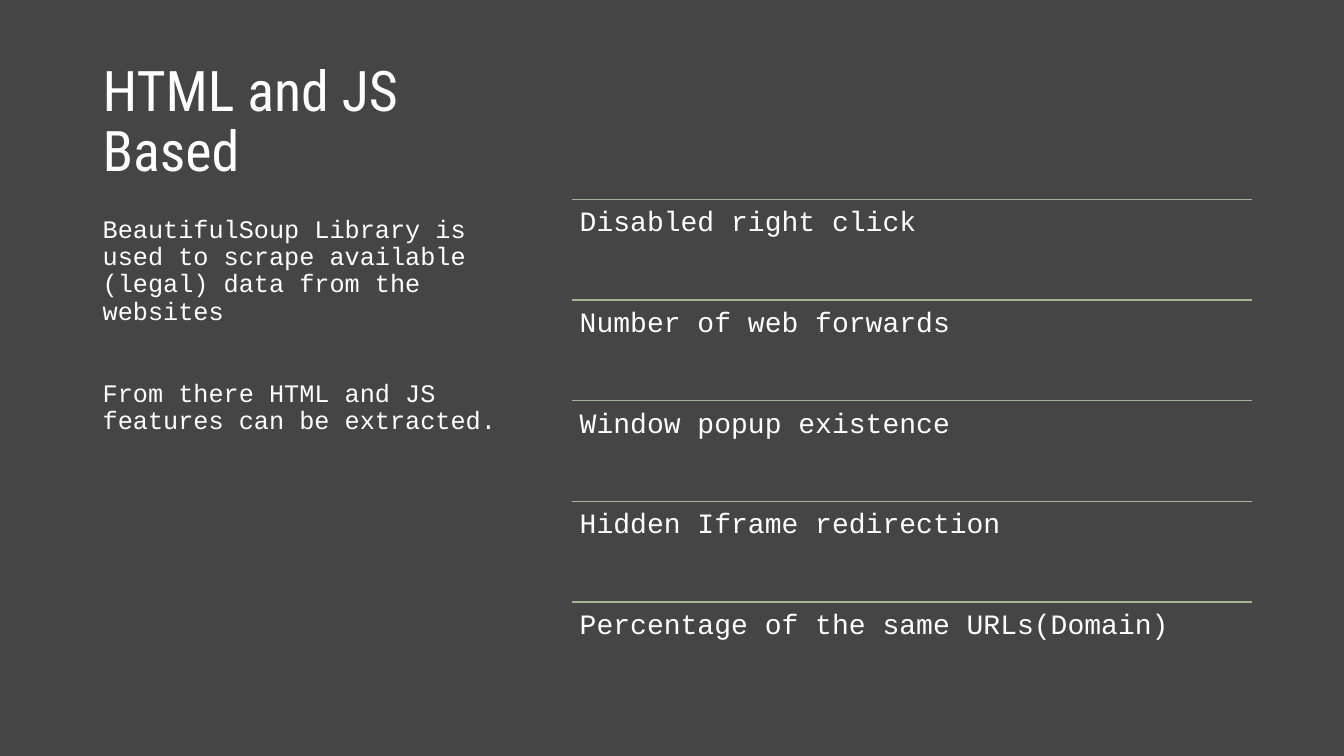
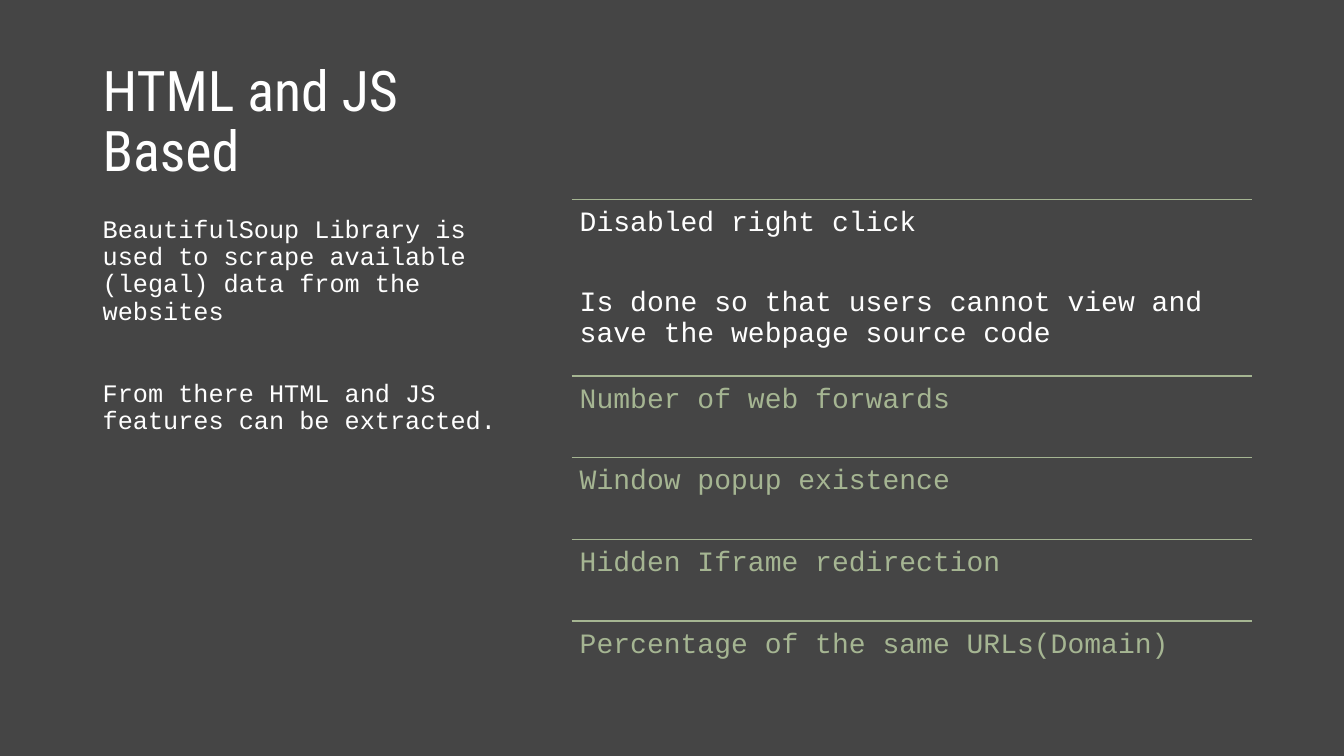
from dataclasses import dataclass

from lxml import etree
from pptx import Presentation
from pptx import util as u
from pptx.dml.color import RGBColor
from pptx.enum import shapes, text
from pptx.oxml import ns
from pptx.slide import Slide


@dataclass(frozen=True)
class Theme:
    background: RGBColor = RGBColor(0x45, 0x45, 0x45)
    white: RGBColor = RGBColor(0xFF, 0xFF, 0xFF)
    sage: RGBColor = RGBColor(0xA5, 0xB5, 0x92)
    title_font: str = "Roboto Condensed"
    body_font: str = "Courier New"
    title_size: int = 40
    body_size: int = 18
    feature_size: int = 20
    line_spacing: float = 0.9
    rule_width: float = 1


@dataclass(frozen=True)
class TextStyle:
    font: str
    size: int
    color: RGBColor
    gap: float = 0  # points between paragraphs
    inset_x: float = 0.1
    inset_y: float = 0.05
    anchor: text.MSO_ANCHOR = text.MSO_ANCHOR.TOP


@dataclass(frozen=True)
class Area:
    left: float
    top: float
    width: float
    height: float


@dataclass(frozen=True)
class Feature:
    paragraphs: tuple[str, ...]
    color: RGBColor


THEME = Theme()
TITLE_STYLE = TextStyle(THEME.title_font, THEME.title_size, THEME.white,
                        anchor=text.MSO_ANCHOR.MIDDLE)
BODY_STYLE = TextStyle(THEME.body_font, THEME.body_size, THEME.white, gap=39.5)

TITLE_AREA = Area(0.92, 0.35, 4.3, 1.75)
BODY_AREA = Area(0.92, 2.1, 4.3, 4.17)
LIST_AREA = Area(5.67, 1.98, 6.75, 4.99)
EXPANDED_HEIGHT = 1.75

TITLE = "HTML and JS Based"
BODY = (
    "BeautifulSoup Library is used to scrape available (legal) data from the websites",
    "From there HTML and JS features can be extracted.",
)
FEATURE_NAMES = (
    "Disabled right click",
    "Number of web forwards",
    "Window popup existence",
    "Hidden Iframe redirection",
    "Percentage of the same URLs(Domain)",
)
FIRST_DETAIL = "Is done so that users cannot view and save the webpage source code"


def add_text(page: Slide, area: Area, paragraphs: tuple[str, ...], style: TextStyle) -> None:
    box = page.shapes.add_textbox(u.Inches(area.left), u.Inches(area.top),
                                  u.Inches(area.width), u.Inches(area.height))
    frame = box.text_frame
    frame.word_wrap = True
    frame.vertical_anchor = style.anchor
    frame.margin_left = frame.margin_right = u.Inches(style.inset_x)
    frame.margin_top = frame.margin_bottom = u.Inches(style.inset_y)
    frame.text = "\n".join(paragraphs)
    for index, para in enumerate(frame.paragraphs):
        para.line_spacing = THEME.line_spacing
        para.space_before = u.Pt(style.gap if index else 0)
        for span in para.runs:
            span.font.name = style.font
            span.font.size = u.Pt(style.size)
            span.font.color.rgb = style.color


def add_rule(page: Slide, left: float, top: float, width: float) -> None:
    rule = page.shapes.add_connector(shapes.MSO_CONNECTOR.STRAIGHT, u.Inches(left),
                                     u.Inches(top), u.Inches(left + width), u.Inches(top))
    rule.line.color.rgb = THEME.sage
    rule.line.width = u.Pt(THEME.rule_width)
    etree.SubElement(rule._element.spPr, ns.qn("a:effectLst"))


def add_features(page: Slide, features: list[Feature], first_height: float) -> None:
    # The other rows share what the first one leaves
    other_height = (LIST_AREA.height - first_height) / (len(features) - 1)
    top = LIST_AREA.top
    for index, feature in enumerate(features):
        height = other_height if index else first_height
        style = TextStyle(THEME.body_font, THEME.feature_size, feature.color,
                          gap=35.5, inset_x=0.08, inset_y=0.08)
        add_rule(page, LIST_AREA.left, top, LIST_AREA.width)
        add_text(page, Area(LIST_AREA.left, top, LIST_AREA.width, height),
                 feature.paragraphs, style)
        top += height


def add_page(deck: Presentation, features: list[Feature], first_height: float) -> None:
    page = deck.slides.add_slide(deck.slide_layouts[6])
    add_text(page, TITLE_AREA, (TITLE,), TITLE_STYLE)
    add_features(page, features, first_height)
    add_text(page, BODY_AREA, BODY, BODY_STYLE)


def main() -> None:
    deck = Presentation()
    deck.slide_width, deck.slide_height = u.Inches(13.33), u.Inches(7.5)
    fill = deck.slide_master.background.fill
    fill.solid()
    fill.fore_color.rgb = THEME.background

    # Overview: every feature in equal rows
    overview = [Feature((name,), THEME.white) for name in FEATURE_NAMES]
    add_page(deck, overview, LIST_AREA.height / len(overview))

    # Detail: first feature explained, the others dimmed
    first, *others = FEATURE_NAMES
    detail = [Feature((first, FIRST_DETAIL), THEME.white)]
    detail += [Feature((name,), THEME.sage) for name in others]
    add_page(deck, detail, EXPANDED_HEIGHT)

    deck.save("out.pptx")


if __name__ == "__main__":
    main()
